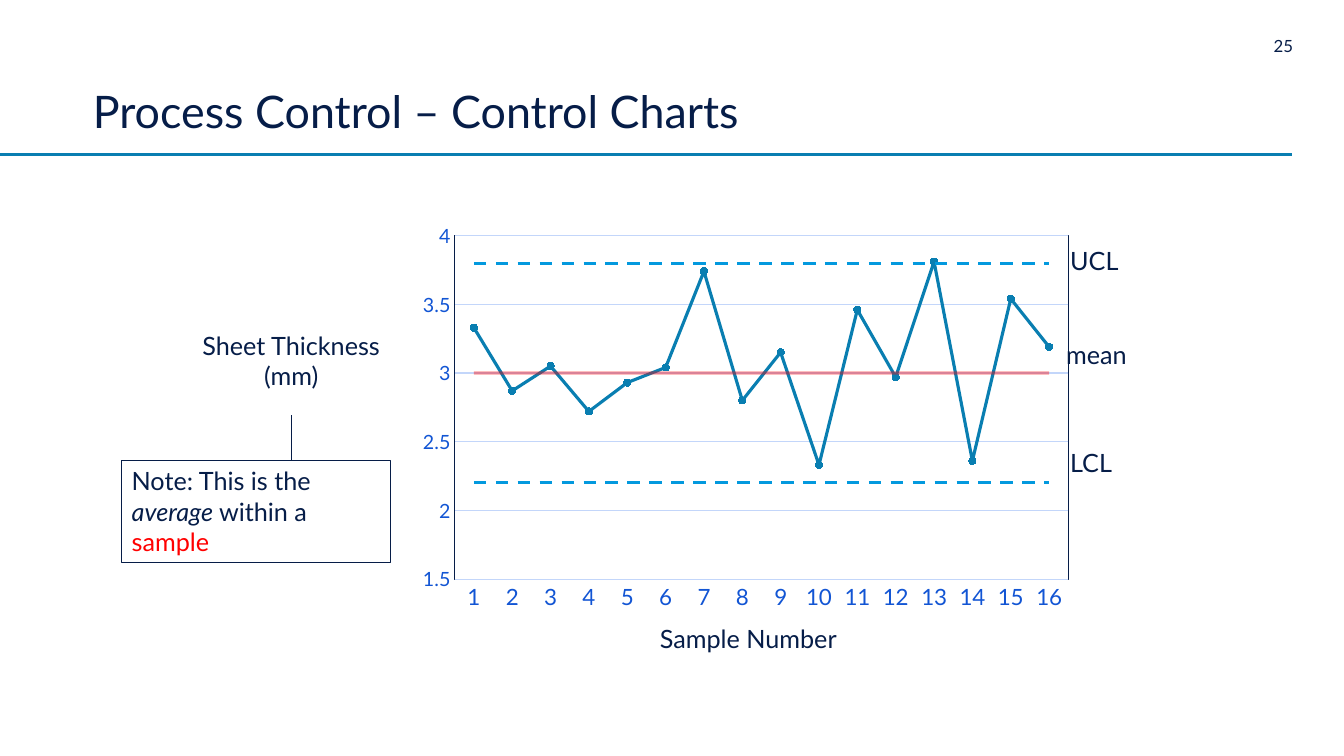
from lxml import etree
from pptx import Presentation
from pptx.chart.data import CategoryChartData
from pptx.dml.color import RGBColor
from pptx.enum.chart import XL_CHART_TYPE, XL_MARKER_STYLE, XL_TICK_MARK
from pptx.enum.dml import MSO_LINE
from pptx.enum.shapes import MSO_CONNECTOR, MSO_SHAPE
from pptx.enum.text import MSO_ANCHOR, PP_ALIGN
from pptx.oxml import parse_xml
from pptx.oxml.ns import nsdecls, qn
from pptx.util import Cm, Pt

NAVY = RGBColor(0x06, 0x1D, 0x48)
TEAL = RGBColor(0x09, 0x7E, 0xB1)
SKY = RGBColor(0x03, 0x99, 0xDE)
BLUE = RGBColor(0x12, 0x55, 0xD4)
PALE = RGBColor(0xC3, 0xD6, 0xFA)
RED = RGBColor(0xFF, 0x00, 0x00)
WHITE = RGBColor(0xFF, 0xFF, 0xFF)
LEFT, CENTER, RIGHT = PP_ALIGN.LEFT, PP_ALIGN.CENTER, PP_ALIGN.RIGHT
TOP, BOTTOM = MSO_ANCHOR.TOP, MSO_ANCHOR.BOTTOM
RECT, STRAIGHT = MSO_SHAPE.RECTANGLE, MSO_CONNECTOR.STRAIGHT
LINES = XL_CHART_TYPE.LINE_MARKERS
CIRCLE, BARE = XL_MARKER_STYLE.CIRCLE, XL_MARKER_STYLE.NONE
DASH, NO_TICK = MSO_LINE.DASH, XL_TICK_MARK.NONE

THICK = [3.33, 2.87, 3.05, 2.72, 2.93, 3.04, 3.74, 2.8,
         3.15, 2.33, 3.46, 2.97, 3.81, 2.36, 3.54, 3.19]
LIMITS = [("LCL", 2.2), ("UCL", 3.8), ("Mean", 3)]
FRAME = {"x": 0.066, "y": 0.052, "w": 0.913, "h": 0.852}


def write(shape, runs, font="Lato", size=18, color=NAVY, align=LEFT,
          anchor=TOP, inset=None, space=None):
    frame = shape.text_frame
    frame.word_wrap = True
    frame.vertical_anchor = anchor
    if inset is not None:
        frame.margin_left = frame.margin_right = Cm(inset)
        frame.margin_top = frame.margin_bottom = Cm(inset)
    para = frame.paragraphs[0]
    para.alignment = align
    if space:
        para.line_spacing = space
    for text, style in [(runs, {})] if isinstance(runs, str) else runs:
        run = para.add_run()
        run.text = text
        run.font.name = font
        run.font.size = Pt(size)
        run.font.italic = style.get("italic", False)
        run.font.color.rgb = style.get("color", color)


def stroke(line, color, width):
    line.color.rgb = color
    line.width = Pt(width)


class Deck:
    def __init__(self, font="Lato"):
        self.font = font
        self.file = Presentation()
        self.file.slide_width = Cm(33.87)
        self.file.slide_height = Cm(19.05)
        self.slide = self.file.slides.add_slide(self.file.slide_layouts[6])

    def text(self, runs, *box, **style):
        shape = self.slide.shapes.add_textbox(*map(Cm, box))
        write(shape, runs, font=self.font, **style)

    def panel(self, runs, *box):
        shape = self.slide.shapes.add_shape(RECT, *map(Cm, box))
        shape.shadow.inherit = False
        shape.fill.solid()
        shape.fill.fore_color.rgb = WHITE
        stroke(shape.line, NAVY, 1)
        write(shape, runs, font=self.font)

    def line(self, *ends, color=NAVY, width=1):
        link = self.slide.shapes.add_connector(STRAIGHT, *map(Cm, ends))
        stroke(link.line, color, width)
        etree.SubElement(link._element.spPr, qn("a:effectLst"))

    def chart(self, *box):
        data = CategoryChartData()
        data.categories = [str(n) for n in range(1, len(THICK) + 1)]
        data.add_series("Thickness", THICK)
        for name, level in LIMITS:
            data.add_series(name, [level] * len(THICK))
        chart = self.slide.shapes.add_chart(LINES, *map(Cm, box), data).chart
        chart.has_title = chart.has_legend = False
        chart.font.name = self.font
        self.axes(chart)
        self.curves(chart.plots[0])
        self.frame(chart)

    def axes(self, chart):
        across, up = chart.category_axis, chart.value_axis
        for axis, size in (across, 16), (up, 14):
            axis.major_tick_mark = axis.minor_tick_mark = NO_TICK
            font = axis.tick_labels.font
            font.name, font.size = self.font, Pt(size)
            font.color.rgb = BLUE
        stroke(across.format.line, PALE, 0.75)
        up.format.line.fill.background()
        up.minimum_scale, up.maximum_scale, up.major_unit = 1.5, 4, 0.5
        up.has_major_gridlines = True
        stroke(up.major_gridlines.format.line, PALE, 0.75)

    def curves(self, plot):
        plot.vary_by_categories = False
        for curve, color in zip(plot.series, (TEAL, SKY, SKY, RED)):
            curve.smooth = False
            line = curve.format.line
            stroke(line, color, 2.25)
            curve.marker.style = CIRCLE if color == TEAL else BARE
            if color == TEAL:
                curve.marker.size = 5
                curve.marker.format.fill.solid()
                curve.marker.format.fill.fore_color.rgb = TEAL
                stroke(curve.marker.format.line, TEAL, 0.75)
            elif color == SKY:
                line.dash_style = DASH
            else:
                tint = curve.format.line._ln.find(".//" + qn("a:srgbClr"))
                etree.SubElement(tint, qn("a:alpha"), val="39000")

    def frame(self, chart):
        area = chart._chartSpace.chart.plotArea
        for old in area.findall(qn("c:layout")):
            area.remove(old)
        parts = "".join(f'<c:{k} val="{v}"/>' for k, v in FRAME.items())
        area.insert(0, parse_xml(
            f'<c:layout {nsdecls("c")}><c:manualLayout>'
            '<c:layoutTarget val="inner"/><c:xMode val="edge"/>'
            f'<c:yMode val="edge"/>{parts}</c:manualLayout></c:layout>'))
        area.append(parse_xml(
            f'<c:spPr {nsdecls("c", "a")}><a:noFill/><a:ln w="9525">'
            f'<a:solidFill><a:srgbClr val="{NAVY}"/></a:solidFill>'
            '</a:ln></c:spPr>'))


def main():
    deck = Deck()
    deck.line(0, 3.89, 32.56, 3.89, color=TEAL, width=2.25)
    deck.text("25", 31.55, 0.91, 1.04, 0.51, size=12, align=RIGHT, inset=0)
    deck.text("Process Control – Control Charts", 2.34, 0.86, 26.11, 2.62,
              size=32, anchor=BOTTOM, inset=0, space=0.9)
    deck.chart(10.34, 5.41, 16.94, 10.16)
    for label, left, top in (("UCL", 26.72, 6.05), ("LCL", 26.72, 11.15),
                             ("mean", 26.62, 8.43)):
        deck.text(label, left, top, 2.84, 1.02)
    deck.text("Sample Number", 16.38, 15.57, 8.94, 1.02)
    deck.text("Sheet Thickness (mm)", 4.19, 8.2, 6.3, 1.8, align=CENTER)
    deck.panel([("Note: This is the ", {}), ("average", {"italic": True}),
                (" within a ", {}), ("sample", {"color": RED})],
               3.07, 11.61, 6.78, 2.57)
    deck.line(7.34, 10.46, 7.34, 11.58)
    deck.file.save("out.pptx")


if __name__ == "__main__":
    main()
